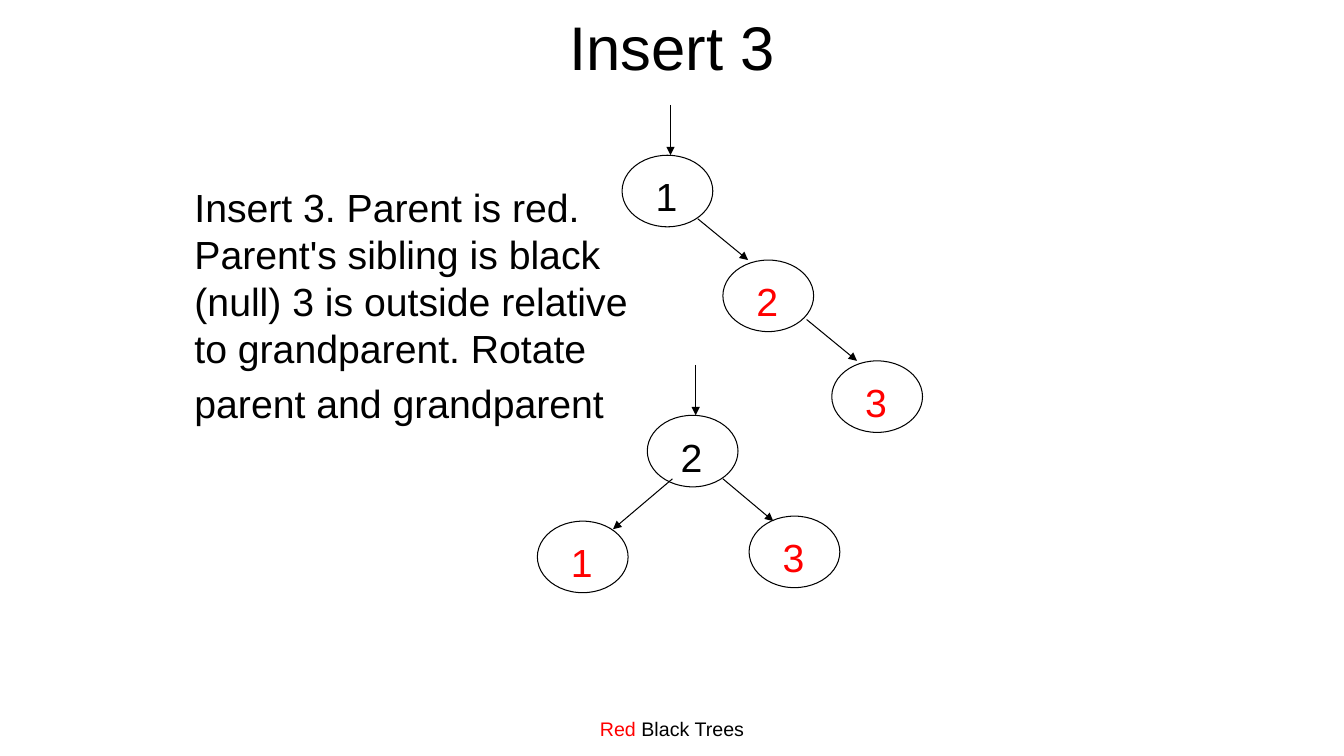
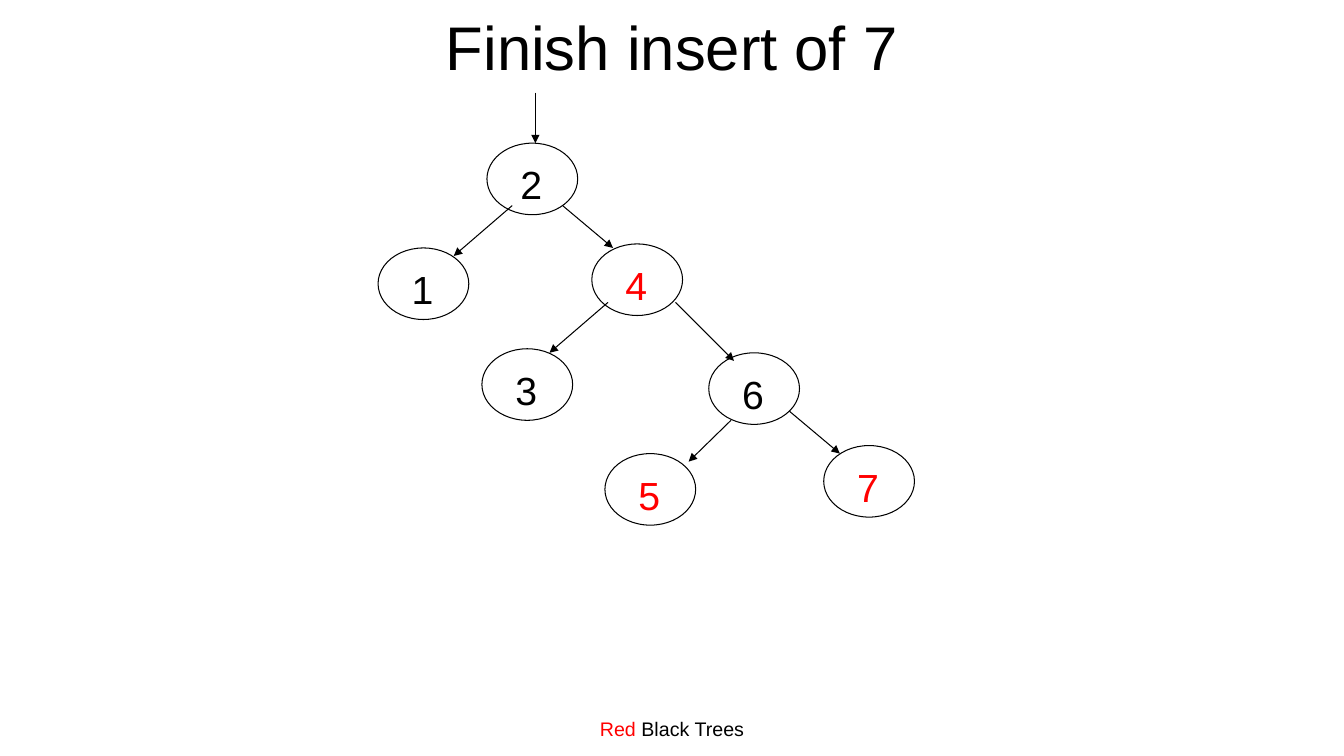
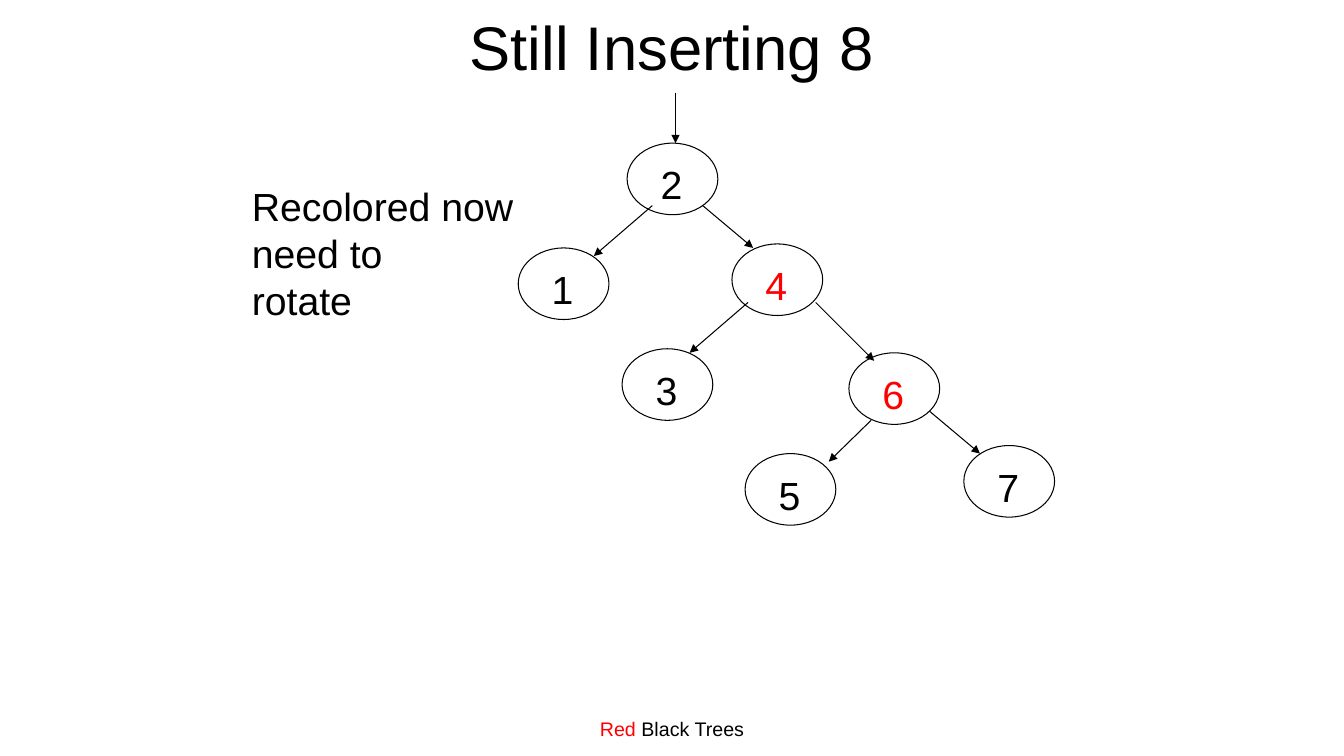
from pptx import Presentation
from pptx.dml.color import RGBColor
from pptx.enum.shapes import MSO_CONNECTOR as Connector, MSO_SHAPE as Preset
from pptx.enum.text import MSO_ANCHOR as Anchor, PP_ALIGN as Align
from pptx.oxml.ns import qn
from pptx.util import Inches, Pt
from lxml.etree import SubElement

COLORS = {"black": "000000", "red": "FF0000"}
FONT = "Arial"
TITLE_SIZE, BODY_SIZE, FOOTER_SIZE = 44, 28, 14
NODE_WIDTH, NODE_HEIGHT = 0.9, 0.71
ROOT_ARROW = 0.5

# Node offsets and links of the seven-node tree, from the root's left and top
TREE_NODES = {2: (0, 0), 1: (-1.08, 1.04), 4: (1.04, 1), 3: (-0.05, 2.04),
              6: (2.2, 2.08), 5: (1.17, 3.08), 7: (3.34, 3)}
TREE_LINKS = [(0.75, 0.62, 1.25, 1.04), (0.25, 0.62, -0.33, 1.12),
              (1.87, 1.58, 2.45, 2.16), (1.2, 1.58, 0.62, 2.08),
              (2.42, 2.75, 2, 3.16), (3, 2.66, 3.5, 3.08)]


def add_run(paragraph, text, size, color="black"):
    run = paragraph.add_run()
    run.text = text
    run.font.name = FONT
    run.font.size = Pt(size)
    run.font.color.rgb = RGBColor.from_string(COLORS[color])


def add_titled_slide(presentation, title_text):
    slide = presentation.slides.add_slide(presentation.slide_layouts[5])
    # Title
    title = slide.shapes.title
    title.left, title.top = Inches(1), Inches(-0.17)
    title.width, title.height = Inches(11.33), Inches(1.25)
    title.text_frame.vertical_anchor = Anchor.MIDDLE
    paragraph = title.text_frame.paragraphs[0]
    paragraph.alignment = Align.CENTER
    add_run(paragraph, title_text, TITLE_SIZE)
    # Footer
    footer = slide.shapes.add_textbox(Inches(4.11), Inches(7.06), Inches(5.11), Inches(0.34))
    footer.text_frame.word_wrap = True
    paragraph = footer.text_frame.paragraphs[0]
    paragraph.alignment = Align.CENTER
    add_run(paragraph, "Red", FOOTER_SIZE, "red")
    add_run(paragraph, " Black Trees", FOOTER_SIZE)
    return slide


def add_node(slide, value, left, top, color="black"):
    node = slide.shapes.add_shape(Preset.OVAL, Inches(left), Inches(top),
                                  Inches(NODE_WIDTH), Inches(NODE_HEIGHT))
    node.shadow.inherit = False
    node.fill.background()
    node.line.color.rgb = RGBColor.from_string(COLORS["black"])
    node.line.width = Pt(0.75)
    frame = node.text_frame
    frame.word_wrap = False
    frame.vertical_anchor = Anchor.TOP
    frame.margin_left = frame.margin_bottom = 0
    frame.margin_right, frame.margin_top = Inches(0.02), Inches(0.07)
    frame.paragraphs[0].alignment = Align.CENTER
    add_run(frame.paragraphs[0], str(value), BODY_SIZE, color)


def add_arrow(slide, start_x, start_y, end_x, end_y):
    arrow = slide.shapes.add_connector(Connector.STRAIGHT, Inches(start_x), Inches(start_y),
                                       Inches(end_x), Inches(end_y))
    arrow.line.color.rgb = RGBColor.from_string(COLORS["black"])
    arrow.line.width = Pt(0.75)
    SubElement(arrow.line._get_or_add_ln(), qn("a:tailEnd"), type="triangle")
    SubElement(arrow._element.spPr, qn("a:effectLst"))


def add_tree(slide, left, top, nodes, links, red_values):
    """Draw a tree whose nodes and links are offsets from the root's corner."""
    root_x = left + 0.48
    add_arrow(slide, root_x, top - ROOT_ARROW, root_x, top)
    for value, (x, y) in nodes.items():
        add_node(slide, value, left + x, top + y, "red" if value in red_values else "black")
    for x1, y1, x2, y2 in links:
        add_arrow(slide, left + x1, top + y1, left + x2, top + y2)


def add_note(slide, left, top, width, height, paragraphs):
    note = slide.shapes.add_textbox(Inches(left), Inches(top), Inches(width), Inches(height))
    frame = note.text_frame
    frame.word_wrap = False
    for index, lines in enumerate(paragraphs):
        paragraph = frame.paragraphs[0] if index == 0 else frame.add_paragraph()
        if index:
            paragraph.space_before = Pt(BODY_SIZE * 0.2)
        paragraph.line_spacing = Pt(BODY_SIZE * 1.2)
        for number, line in enumerate(lines):
            if number:
                paragraph.add_line_break()
            add_run(paragraph, line, BODY_SIZE)


def main():
    presentation = Presentation()
    presentation.slide_width, presentation.slide_height = Inches(13.33), Inches(7.5)

    # Insert 3: before and after the rotation
    slide = add_titled_slide(presentation, "Insert 3")
    add_tree(slide, 6.17, 1.54, {1: (0, 0), 2: (1, 1.04), 3: (2.08, 2.04)},
             [(0.75, 0.63, 1.25, 1.04), (1.83, 1.63, 2.33, 2.04)], {2, 3})
    add_note(slide, 1.83, 1.77, 4.62, 2.53,
             [["Insert 3. Parent is red.", "Parent's sibling is black",
               "(null) 3 is outside relative", "to grandparent. Rotate"],
              ["parent and grandparent"]])
    add_tree(slide, 6.42, 4.12, {2: (0, 0), 1: (-1.09, 1.05), 3: (1.01, 1)},
             [(0.75, 0.63, 1.25, 1.05), (0.25, 0.63, -0.34, 1.13)], {1, 3})

    # Seven-node tree after inserting 7
    slide = add_titled_slide(presentation, "Finish insert of 7")
    add_tree(slide, 4.83, 1.42, TREE_NODES, TREE_LINKS, {4, 5, 7})

    # Same tree, recolored
    slide = add_titled_slide(presentation, "Still Inserting 8")
    add_tree(slide, 6.22, 1.42, TREE_NODES, TREE_LINKS, {4, 6})
    add_note(slide, 2.4, 1.76, 2.8, 1.5, [["Recolored now", "need to", "rotate"]])

    presentation.save("out.pptx")


if __name__ == "__main__":
    main()
